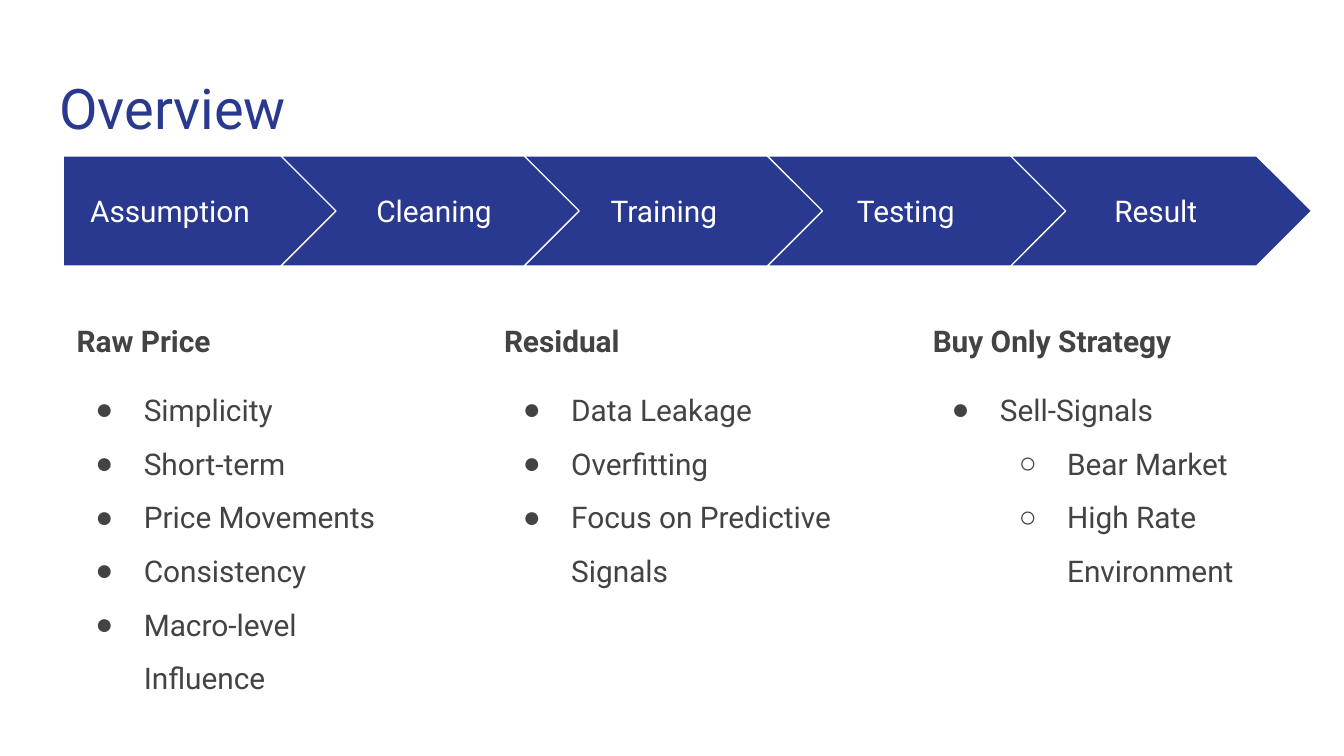
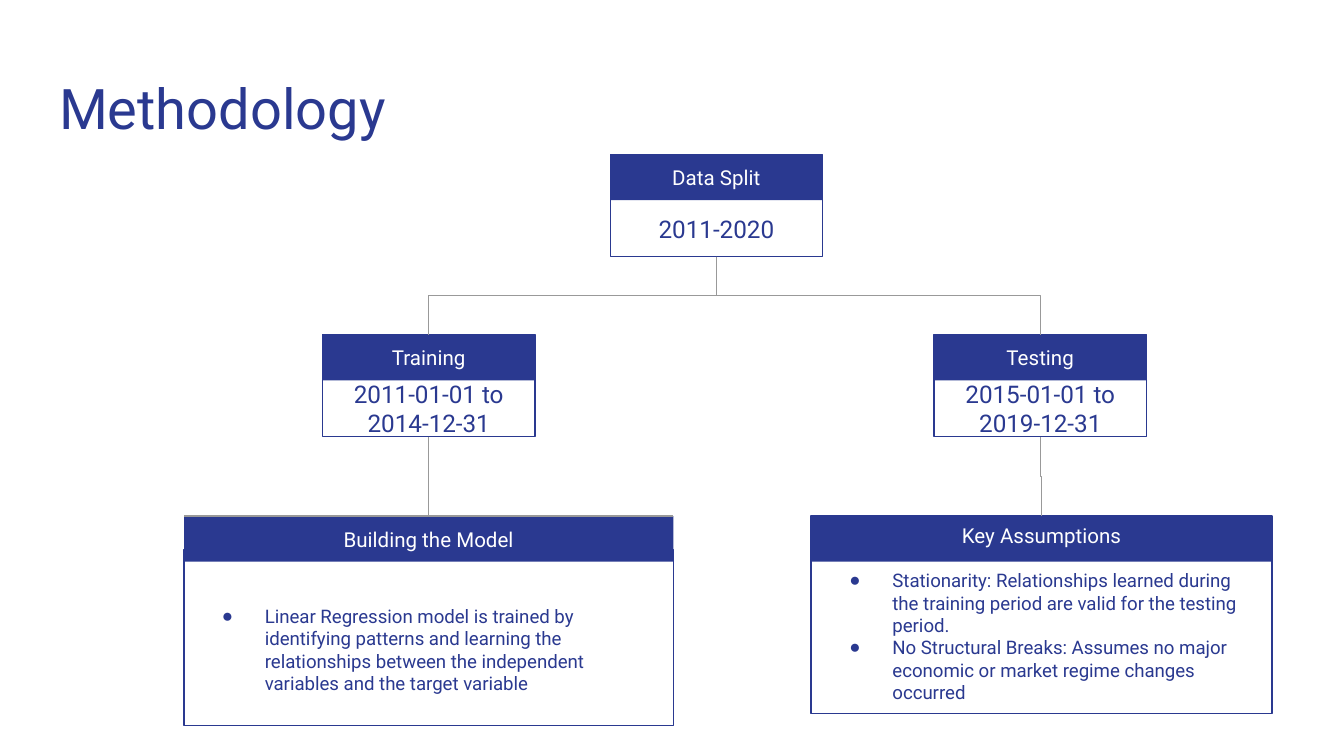
import dataclasses
import typing

import pptx
import pptx.dml.color
import pptx.enum.shapes
import pptx.enum.text
import pptx.oxml
import pptx.oxml.ns
import pptx.util

SHAPE = pptx.enum.shapes.MSO_SHAPE
CONNECTOR = pptx.enum.shapes.MSO_CONNECTOR
ALIGN = pptx.enum.text.PP_ALIGN
ANCHOR = pptx.enum.text.MSO_ANCHOR
qn = pptx.oxml.ns.qn

# A 16:9 slide, and a square grid of 100 columns
WIDTH = pptx.util.Inches(10)
HEIGHT = pptx.util.Emu(WIDTH * 9 // 16)
CELL = WIDTH / 100


@dataclasses.dataclass(frozen=True)
class Theme:
    font: str = "Roboto"
    blue: str = "2A3990"
    ink: str = "434343"
    grey: str = "999999"
    white: str = "FFFFFF"
    title: float = 30
    text: float = 16
    period: float = 13
    header: float = 11
    note: float = 10
    line: float = 0.75


THEME = Theme()


class Box(typing.NamedTuple):
    """A place on the grid, in cells."""
    x: float
    y: float
    w: float
    h: float


class Item(typing.NamedTuple):
    text: str
    level: int = 0


class Column(typing.NamedTuple):
    x: float
    heading: str
    items: list[Item]


class Step(typing.NamedTuple):
    text: str
    x: float
    w: float


class Card(typing.NamedTuple):
    header: str
    period: str
    frame: Box
    header_box: Box
    lift: float = 0


def cells(n: float) -> pptx.util.Emu:
    return pptx.util.Emu(round(n * CELL))


def rgb(color: str) -> pptx.dml.color.RGBColor:
    return pptx.dml.color.RGBColor.from_string(color)


def place(sp, box: Box) -> None:
    sp.left, sp.top, sp.width, sp.height = map(cells, box)


# Text
def format_frame(tf, anchor, side: float = 1, top: float = 1, bottom: float = 1) -> None:
    tf.word_wrap = True
    tf.auto_size = pptx.enum.text.MSO_AUTO_SIZE.NONE
    tf.vertical_anchor = anchor
    tf.margin_left = tf.margin_right = cells(side)
    tf.margin_top, tf.margin_bottom = cells(top), cells(bottom)


def format_paragraph(p, size: float, color: str, align=ALIGN.LEFT, bold: bool = False,
                     spacing: float = 1.0, before: float = 0) -> None:
    p.alignment = align
    p.line_spacing = spacing
    p.space_before = pptx.util.Pt(before)
    for r in p.runs:
        r.font.name = THEME.font
        r.font.size = pptx.util.Pt(size)
        r.font.bold = bold
        r.font.color.rgb = rgb(color)


def set_bullet(p, color: str, hang: float, level: int = 0) -> None:
    p.level = level
    pPr = p._p.get_or_add_pPr()
    pPr.set("marL", str(cells(5 * (level + 1))))
    pPr.set("indent", str(-cells(hang)))
    clr = pptx.oxml.parse_xml(
        f'<a:buClr {pptx.oxml.ns.nsdecls("a")}><a:srgbClr val="{color}"/></a:buClr>')
    pPr.append(clr)
    char = pPr.makeelement(qn("a:buChar"), {"char": "●○"[level]})
    pPr.append(char)


def clear_bullet(p) -> None:
    pPr = p._p.get_or_add_pPr()
    pPr.set("marL", "0")
    pPr.set("indent", "0")
    pPr.append(pPr.makeelement(qn("a:buNone"), {}))


def add_titled_slide(prs, layout: str, title: str):
    s = prs.slides.add_slide(prs.slide_layouts.get_by_name(layout))
    place(s.shapes.title, Box(3.4, 4.5, 93.2, 6.6))
    tf = s.shapes.title.text_frame
    tf.text = title
    format_frame(tf, ANCHOR.TOP)
    format_paragraph(tf.paragraphs[0], THEME.title, THEME.blue)
    return s


def bodies(s) -> list:
    return [ph for ph in s.placeholders if ph.placeholder_format.idx > 0]


def fill_column(ph, column: Column) -> None:
    place(ph, Box(column.x, 22.63, 27, 29))
    tf = ph.text_frame
    format_frame(tf, ANCHOR.TOP)
    tf.text = "\n".join([column.heading, *(item.text for item in column.items)])
    heading, *rest = tf.paragraphs
    format_paragraph(heading, THEME.text, THEME.ink, bold=True, spacing=1.15)
    clear_bullet(heading)
    for i, (p, item) in enumerate(zip(rest, column.items)):
        format_paragraph(p, THEME.text, THEME.ink, spacing=1.5, before=0 if i else 8)
        set_bullet(p, THEME.ink, 3.6, item.level)


def fill_notes(ph, box: Box, notes: list[str]) -> None:
    place(ph, box)
    tf = ph.text_frame
    format_frame(tf, ANCHOR.MIDDLE)
    tf.text = "\n".join(notes)
    for p in tf.paragraphs:
        format_paragraph(p, THEME.note, THEME.blue)
        set_bullet(p, THEME.blue, 3.2)


# Shapes
def add_box(s, kind, box: Box, fill: str | None = None, line: str | None = None):
    sp = s.shapes.add_shape(kind, *map(cells, box))
    sp.shadow.inherit = False
    if fill:
        sp.fill.solid()
        sp.fill.fore_color.rgb = rgb(fill)
    else:
        sp.fill.background()
    if line:
        sp.line.color.rgb = rgb(line)
        sp.line.width = pptx.util.Pt(THEME.line)
    else:
        sp.line.fill.background()
    return sp


def add_step(s, kind, arrow: Box, label: Step) -> None:
    add_box(s, kind, arrow, THEME.blue, THEME.white).adjustments[0] = 0.5
    tf = s.shapes.add_textbox(*map(cells, Box(label.x, 13.1, label.w, 5.1))).text_frame
    tf.text = label.text
    format_frame(tf, ANCHOR.MIDDLE)
    format_paragraph(tf.paragraphs[0], THEME.text, THEME.white, ALIGN.CENTER)


def add_card(s, card: Card) -> tuple:
    frame = add_box(s, SHAPE.RECTANGLE, card.frame, line=THEME.blue)
    if card.period:
        tf = frame.text_frame
        tf.text = card.period
        format_frame(tf, ANCHOR.MIDDLE, top=card.header_box.h, bottom=0)
        format_paragraph(tf.paragraphs[0], THEME.period, THEME.blue, ALIGN.CENTER)
    header = add_box(s, SHAPE.RECTANGLE, card.header_box, THEME.blue)
    tf = header.text_frame
    tf.text = card.header
    format_frame(tf, ANCHOR.MIDDLE, top=0, bottom=2 * card.lift)
    format_paragraph(tf.paragraphs[0], THEME.header, THEME.white, ALIGN.CENTER)
    return frame, header


# Connectors
def add_link(s, kind, upper, lower):
    """Join the bottom of one rectangle to the top of another."""
    link = s.shapes.add_connector(kind, 0, 0, 0, 0)
    link.begin_connect(upper, 2)
    link.end_connect(lower, 0)
    return finish_link(link)


def finish_link(link):
    link.line.color.rgb = rgb(THEME.grey)
    link.line.width = pptx.util.Pt(THEME.line)
    spPr = link._element.spPr
    spPr.append(spPr.makeelement(qn("a:effectLst"), {}))
    return link


def turn_down(link) -> None:
    """Rotate an elbow so that it leaves its start downwards."""
    x1, y1, x2, y2 = link.begin_x, link.begin_y, link.end_x, link.end_y
    drop, reach = y2 - y1, abs(x2 - x1)
    link.left, link.top = (x1 + x2 - drop) // 2, (y1 + y2 - reach) // 2
    link.width, link.height = drop, reach
    xfrm = link._element.spPr.find(qn("a:xfrm"))
    for flip in ("flipH", "flipV"):
        xfrm.attrib.pop(flip, None)
    xfrm.set("rot", str((90 if x2 < x1 else 270) * 60000))
    if x2 >= x1:
        xfrm.set("flipH", "1")


def add_branch(s, upper, lower) -> None:
    turn_down(add_link(s, CONNECTOR.ELBOW, upper, lower))


def add_corner(s, upper, x: int, y: int) -> None:
    """Drop from a rectangle's bottom, then run sideways to a point."""
    start = upper.left + upper.width // 2, upper.top + upper.height
    link = finish_link(s.shapes.add_connector(CONNECTOR.ELBOW, *start, x, y))
    link._element.spPr.find(qn("a:prstGeom")).set("prst", "bentConnector2")
    turn_down(link)


# Slides
def build_overview(prs) -> None:
    s = add_titled_slide(prs, "Comparison", "Overview")
    columns = [
        Column(4.7, "Raw Price", [Item("Simplicity"), Item("Short-term"), Item("Price Movements"),
                                  Item("Consistency"), Item("Macro-level Influence")]),
        Column(36.5, "Residual", [Item("Data Leakage"), Item("Overfitting"),
                                  Item("Focus on Predictive Signals")]),
        Column(68.4, "Buy Only Strategy", [Item("Sell-Signals"), Item("Bear Market", 1),
                                           Item("High Rate Environment", 1)]),
    ]
    *used, spare = bodies(s)
    spare._element.getparent().remove(spare._element)
    for ph, column in zip(used, columns):
        fill_column(ph, column)

    steps = [Step("Assumption", 4.7, 15.9), Step("Cleaning", 25.1, 14.4),
             Step("Training", 42.2, 14.4), Step("Testing", 60.2, 14.4),
             Step("Result", 78.8, 14.4)]
    add_step(s, SHAPE.PENTAGON, Box(4.7, 11.6, 20.5, 8.2), steps[0])
    for i, step in enumerate(steps[1:]):
        add_step(s, SHAPE.CHEVRON, Box(20.9 + 18.1 * i, 11.6, 22.4, 8.2), step)


def build_methodology(prs) -> None:
    s = add_titled_slide(prs, "Two Content", "Methodology")

    def period_card(header: str, period: str, x: float, y: float) -> Card:
        return Card(header, period, Box(x, y, 15.8, 7.6), Box(x, y, 15.8, 3.4))

    split, _ = add_card(s, period_card("Data Split", "2011-2020", 45.4, 11.5))
    training, training_top = add_card(
        s, period_card("Training", "2011-01-01 to 2014-12-31", 24, 24.9))
    testing, testing_top = add_card(
        s, period_card("Testing", "2015-01-01 to 2019-12-31", 69.5, 24.9))
    _, model_top = add_card(s, Card("Building the Model", "", Box(13.7, 40.9, 36.4, 13.1),
                                    Box(13.7, 38.4, 36.4, 3.4)))
    _, assumptions_top = add_card(s, Card("Key Assumptions", "", Box(60.35, 38.4, 34.3, 14.7),
                                          Box(60.35, 38.4, 34.3, 3.4), lift=0.3))

    add_branch(s, split, training_top)
    add_branch(s, split, testing_top)
    add_branch(s, testing, assumptions_top)
    add_link(s, CONNECTOR.STRAIGHT, training, model_top)
    for x in (model_top.left, model_top.left + model_top.width):
        add_corner(s, training, x, model_top.top)

    model, assumptions = bodies(s)
    fill_notes(model, Box(13.7, 42.8, 36.4, 11.1), [
        "Linear Regression model is trained by identifying patterns and learning the "
        "relationships between the independent variables and the target variable"])
    fill_notes(assumptions, Box(60.4, 41.8, 34.3, 11.1), [
        "Stationarity: Relationships learned during the training period are valid for "
        "the testing period.",
        "No Structural Breaks: Assumes no major economic or market regime changes occurred"])


def main() -> None:
    prs = pptx.Presentation()
    prs.slide_width, prs.slide_height = WIDTH, HEIGHT
    build_overview(prs)
    build_methodology(prs)
    prs.save("out.pptx")


if __name__ == "__main__":
    main()
